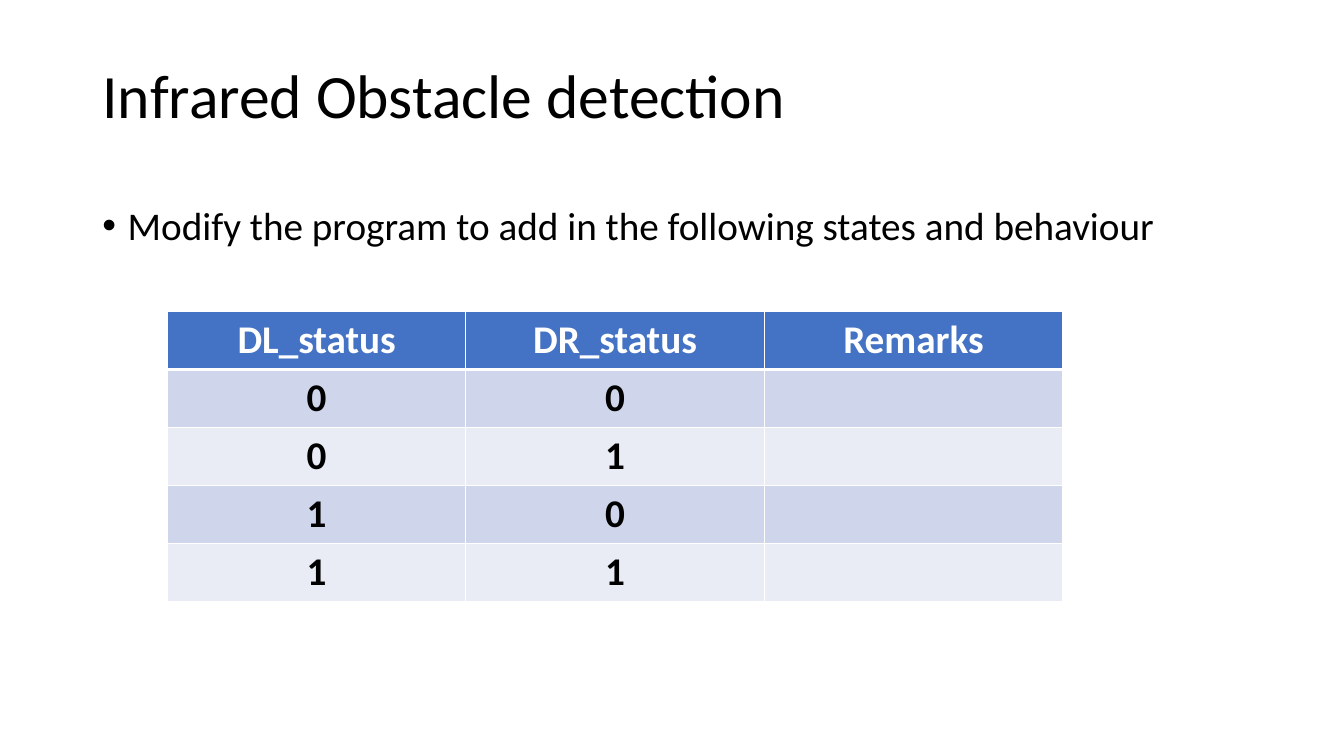
from dataclasses import dataclass

from lxml.etree import SubElement
from pptx import Presentation
from pptx.dml.color import RGBColor
from pptx.enum.text import MSO_ANCHOR, PP_ALIGN
from pptx.oxml.ns import qn
from pptx.util import Cm, Pt

TITLE = "Infrared Obstacle detection"
TASK = "Modify the program to add in the following states and behaviour"
STATES = [
    ("DL_status", "DR_status", "Remarks"),
    ("0", "0", ""),
    ("0", "1", ""),
    ("1", "0", ""),
    ("1", "1", ""),
]


@dataclass(frozen=True)
class Theme:
    font: str = "Calibri"
    text: str = "000000"
    light: str = "FFFFFF"
    header: str = "4472C4"
    bands: tuple = ("CFD5EA", "E9EBF5")
    title_size: int = 44
    body_size: int = 28
    thin: int = 1
    thick: int = 3


THEME = Theme()
LEFT, WIDTH = Cm(2.33), Cm(29.21)
TABLE_LEFT, TABLE_TOP = Cm(4.22), Cm(7.85)
COLUMN_WIDTH, ROW_HEIGHT = Cm(7.52), Cm(1.46)


def apply(target, values):
    for name, value in values.items():
        setattr(target, name, value)


def write(frame, text, size, color, bold=False, **layout):
    paragraph = frame.paragraphs[0]
    apply(paragraph, layout)
    run = paragraph.add_run()
    run.text = text
    apply(run.font, {"name": THEME.font, "size": Pt(size), "bold": bold})
    run.font.color.rgb = RGBColor.from_string(color)
    return paragraph


def add_bullet(paragraph):
    properties = paragraph._p.get_or_add_pPr()
    indent = Cm(0.64)
    properties.set("marL", str(indent))
    properties.set("indent", str(-indent))
    SubElement(properties, qn("a:buFont"), typeface="Arial")
    SubElement(properties, qn("a:buChar"), char="•")


def add_borders(cell, widths):
    properties = cell._tc.get_or_add_tcPr()
    for side, width in widths.items():
        line = SubElement(properties, qn(f"a:ln{side}"), w=str(Pt(width)))
        fill = SubElement(line, qn("a:solidFill"))
        SubElement(fill, qn("a:srgbClr"), val=THEME.light)


presentation = Presentation()
apply(presentation, {"slide_width": Cm(33.87), "slide_height": Cm(19.05)})
slide = presentation.slides.add_slide(presentation.slide_layouts[5])

title = slide.shapes.title
apply(title, {"left": LEFT, "top": Cm(1.01), "width": WIDTH, "height": Cm(2.97)})
apply(title.text_frame, {"vertical_anchor": MSO_ANCHOR.MIDDLE, "word_wrap": True})
write(title.text_frame, TITLE, THEME.title_size, THEME.text,
      alignment=PP_ALIGN.LEFT, line_spacing=0.9)

task = slide.shapes.add_textbox(LEFT, Cm(5.07), WIDTH, Cm(2))
task.text_frame.word_wrap = True
add_bullet(write(task.text_frame, TASK, THEME.body_size, THEME.text,
                 line_spacing=0.9, space_before=Pt(10)))

row_count, column_count = len(STATES), len(STATES[0])
table = slide.shapes.add_table(
    row_count, column_count, TABLE_LEFT, TABLE_TOP,
    COLUMN_WIDTH * column_count, ROW_HEIGHT * row_count).table
for row_index, state in enumerate(STATES):
    is_header = row_index == 0
    background = THEME.header if is_header else THEME.bands[(row_index - 1) % 2]
    color = THEME.light if is_header else THEME.text
    borders = {
        "L": THEME.thin,
        "R": THEME.thin,
        "T": THEME.thick if row_index == 1 else THEME.thin,
        "B": THEME.thick if is_header else THEME.thin,
    }
    for column_index, value in enumerate(state):
        cell = table.cell(row_index, column_index)
        add_borders(cell, borders)
        cell.fill.solid()
        cell.fill.fore_color.rgb = RGBColor.from_string(background)
        if value:
            write(cell.text_frame, value, THEME.body_size, color, bold=True,
                  alignment=PP_ALIGN.CENTER)

presentation.save("out.pptx")
